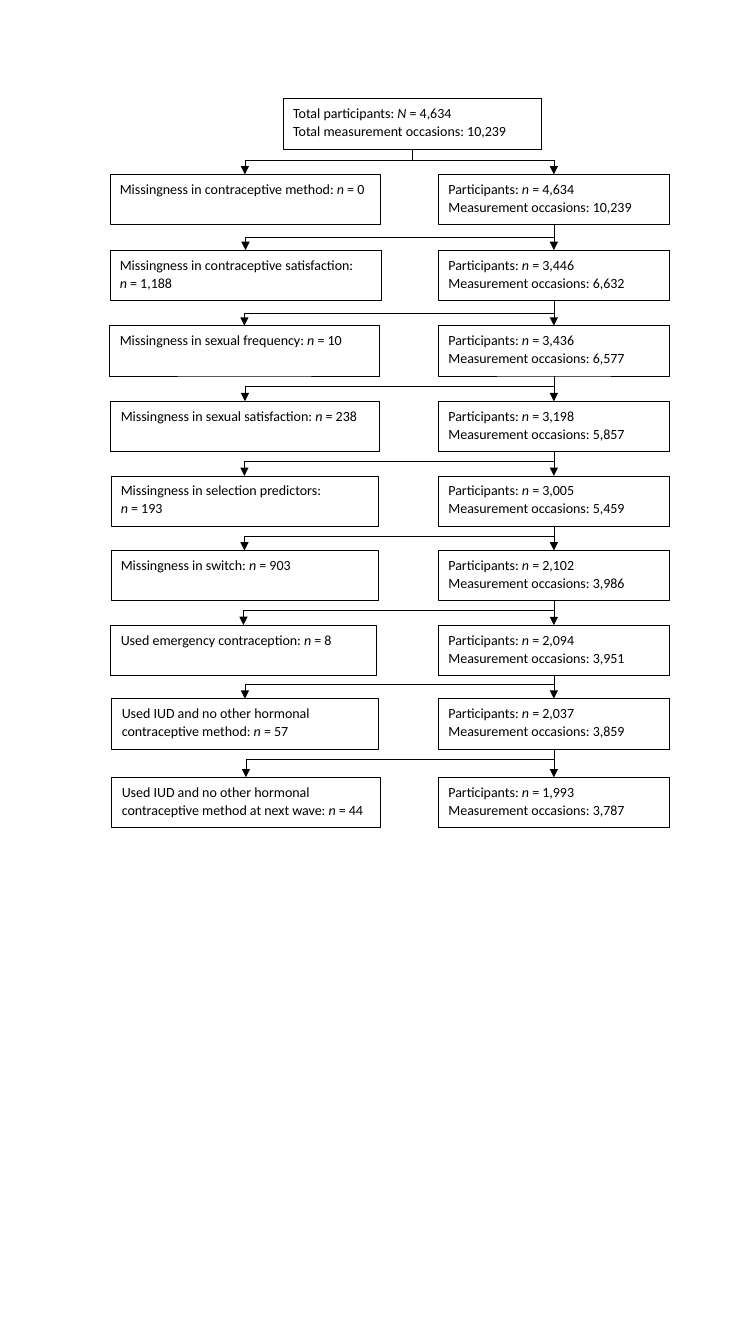
import pptx
import pptx.util
import pptx.dml.color
import pptx.enum.shapes
import pptx.enum.text
import pptx.oxml.ns
import lxml.etree

Inches, Pt = pptx.util.Inches, pptx.util.Pt
Kind = pptx.enum.shapes.MSO_CONNECTOR
COLOR = {"paper": "FFFFFF", "ink": "000000"}
FONT = {"name": "Calibri", "size": Pt(10)}
PARA = {"line_spacing": 1.07, "space_after": Pt(8),
        "alignment": pptx.enum.text.PP_ALIGN.LEFT}
FRAME = {"word_wrap": True, "vertical_anchor": pptx.enum.text.MSO_ANCHOR.TOP}
HIGH = 0.5

# Total box: left, top, width
TOTAL = (2.81, 0.98, 2.56)
FORK = 1.59
# Kept boxes: left, width
KEPT = (4.35, 2.29)

# Top, left and width of the loss box, bend of the arrow to it,
# loss text, participants kept, occasions kept
STEPS = [
    (1.73, 1.09, 2.68, None, "Missingness in contraceptive method: *n* = 0", "4,634", "10,239"),
    (2.48, 1.09, 2.69, 0.5, "Missingness in contraceptive satisfaction:\n*n* = 1,188", "3,446", "6,632"),
    (3.23, 1.09, 2.67, 0.5, "Missingness in sexual frequency: *n* = 10", "3,436", "6,577"),
    (3.98, 1.1, 2.66, 0.39, "Missingness in sexual satisfaction: *n* = 238", "3,198", "5,857"),
    (4.72, 1.1, 2.65, 0.39, "Missingness in selection predictors:\n*n* = 193", "3,005", "5,459"),
    (5.46, 1.1, 2.65, 0.41, "Missingness in switch: *n* = 903", "2,102", "3,986"),
    (6.2, 1.1, 2.63, 0.39, "Used emergency contraception: *n* = 8", "2,094", "3,951"),
    (6.93, 1.11, 2.64, 0.39, "Used IUD and no other hormonal contraceptive method: *n* = 57",
     "2,037", "3,859"),
    (7.71, 1.11, 2.66, 0.37,
     "Used IUD and no other hormonal contraceptive method at next wave: *n* = 44",
     "1,993", "3,787"),
]


def rgb(name):
    return pptx.dml.color.RGBColor.from_string(COLOR[name])


def apply(item, form):
    for key, value in form.items():
        setattr(item, key, value)


def sub(node, tag, **attrs):
    return lxml.etree.SubElement(node, pptx.oxml.ns.qn(tag), **attrs)


def add_box(slide, left, top, width, text):
    """Draw a box; text between stars is italic."""
    box = slide.shapes.add_shape(
        pptx.enum.shapes.MSO_SHAPE.RECTANGLE,
        Inches(left), Inches(top), Inches(width), Inches(HIGH))
    box.shadow.inherit = False
    box.fill.solid()
    box.fill.fore_color.rgb = rgb("paper")
    box.line.color.rgb = rgb("ink")
    box.line.width = Pt(0.5)
    apply(box.text_frame, FRAME)
    para = box.text_frame.paragraphs[0]
    apply(para, PARA)
    for row, line in enumerate(text.split("\n")):
        if row:
            para.add_line_break()
        for part, words in enumerate(line.split("*")):
            if words:
                run = para.add_run()
                run.text = words
                apply(run.font, FONT)
                run.font.italic = part % 2 == 1
                run.font.color.rgb = rgb("ink")
    return box


def add_line(slide, kind, start, end, head=True):
    line = slide.shapes.add_connector(kind, *map(Inches, (*start, *end)))
    line.line.color.rgb = rgb("ink")
    line.line.width = Pt(0.5)
    if head:
        sub(line.line._get_or_add_ln(), "a:tailEnd", type="triangle")
    sub(line._element.spPr, "a:effectLst")
    return line


def add_corner(slide, start, end):
    """Arrow that runs across, then down."""
    line = add_line(slide, Kind.ELBOW, start, end)
    line._element.spPr.find(pptx.oxml.ns.qn("a:prstGeom")).set("prst", "bentConnector2")


def add_branch(slide, start, end, bend):
    """Arrow that runs down, across and down: an elbow turned by 90 degrees."""
    midx, midy = (start[0] + end[0]) / 2, (start[1] + end[1]) / 2
    halfx, halfy = (end[1] - start[1]) / 2, (start[0] - end[0]) / 2
    line = add_line(slide, Kind.ELBOW, (midx - halfx, midy - halfy),
                    (midx + halfx, midy + halfy))
    props = line._element.spPr
    props.find(pptx.oxml.ns.qn("a:xfrm")).set("rot", "5400000")
    guides = props.find(pptx.oxml.ns.qn("a:prstGeom")).get_or_add_avLst()
    sub(guides, "a:gd", name="adj1", fmla=f"val {round(bend * 100000)}")


def add_total(slide, left, top, width):
    box = add_box(slide, left, top, width,
                  "Total participants: *N* = 4,634\nTotal measurement occasions: 10,239")
    mid = left + width / 2
    stem = add_line(slide, Kind.STRAIGHT, (mid, top + HIGH), (mid, FORK), head=False)
    stem.begin_connect(box, 2)


def add_steps(slide, left, width):
    mid = left + width / 2
    above, base = None, FORK
    for top, lossx, lossw, bend, loss, people, times in STEPS:
        # Boxes
        add_box(slide, lossx, top, lossw, loss)
        kept = add_box(slide, left, top, width,
                       f"Participants: *n* = {people}\nMeasurement occasions: {times}")
        # Arrows
        down = add_line(slide, Kind.STRAIGHT, (mid, base), (mid, top))
        down.end_connect(kept, 0)
        goal = (lossx + lossw / 2, top)
        if above is None:
            add_corner(slide, (mid, base), goal)
        else:
            down.begin_connect(above, 2)
            add_branch(slide, (mid, base), goal, bend)
        above, base = kept, top + HIGH


def main():
    deck = pptx.Presentation()
    apply(deck, {"slide_width": Inches(7.5), "slide_height": Inches(13.33)})
    slide = deck.slides.add_slide(deck.slide_layouts[6])
    add_total(slide, *TOTAL)
    add_steps(slide, *KEPT)
    deck.save("out.pptx")


if __name__ == "__main__":
    main()
